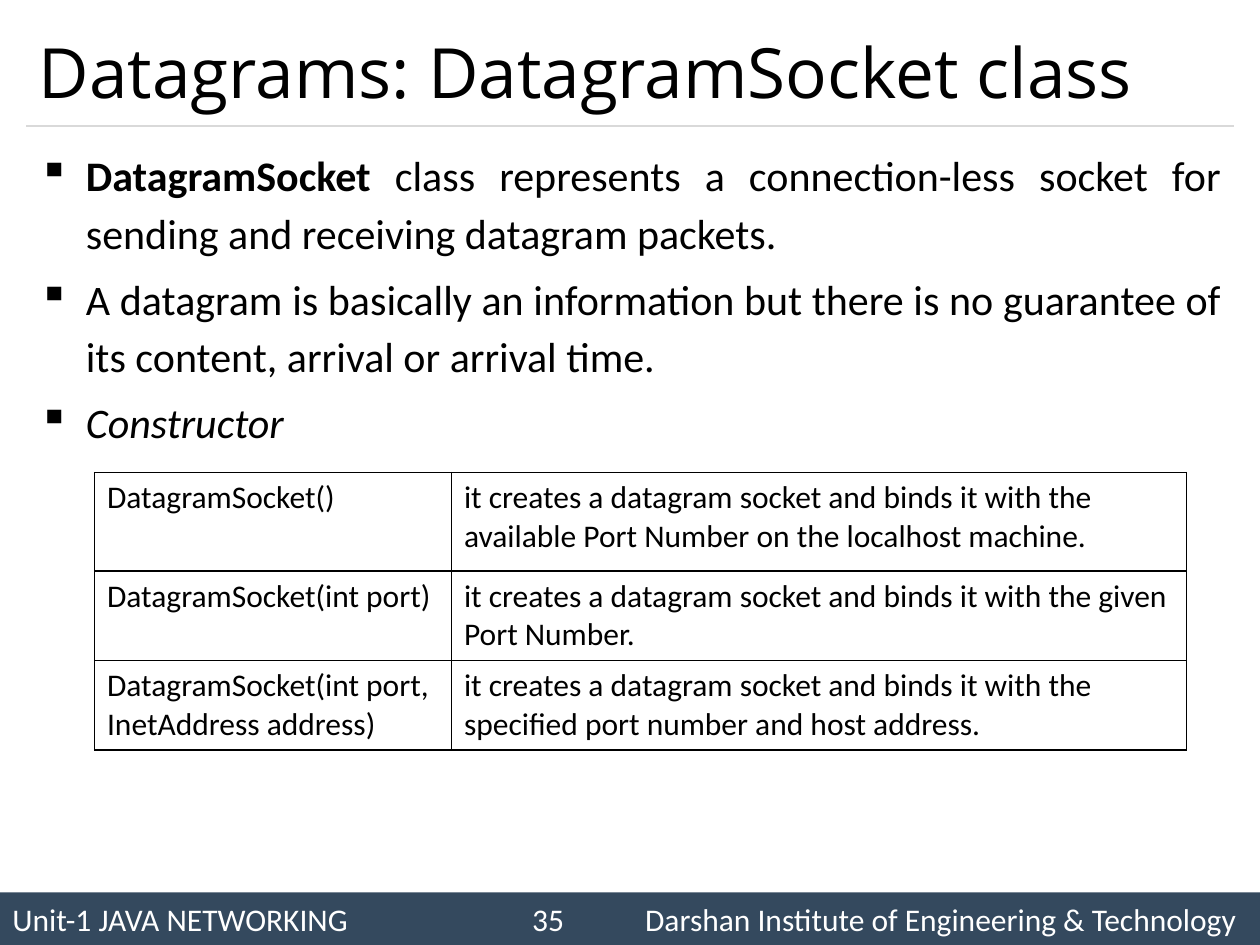
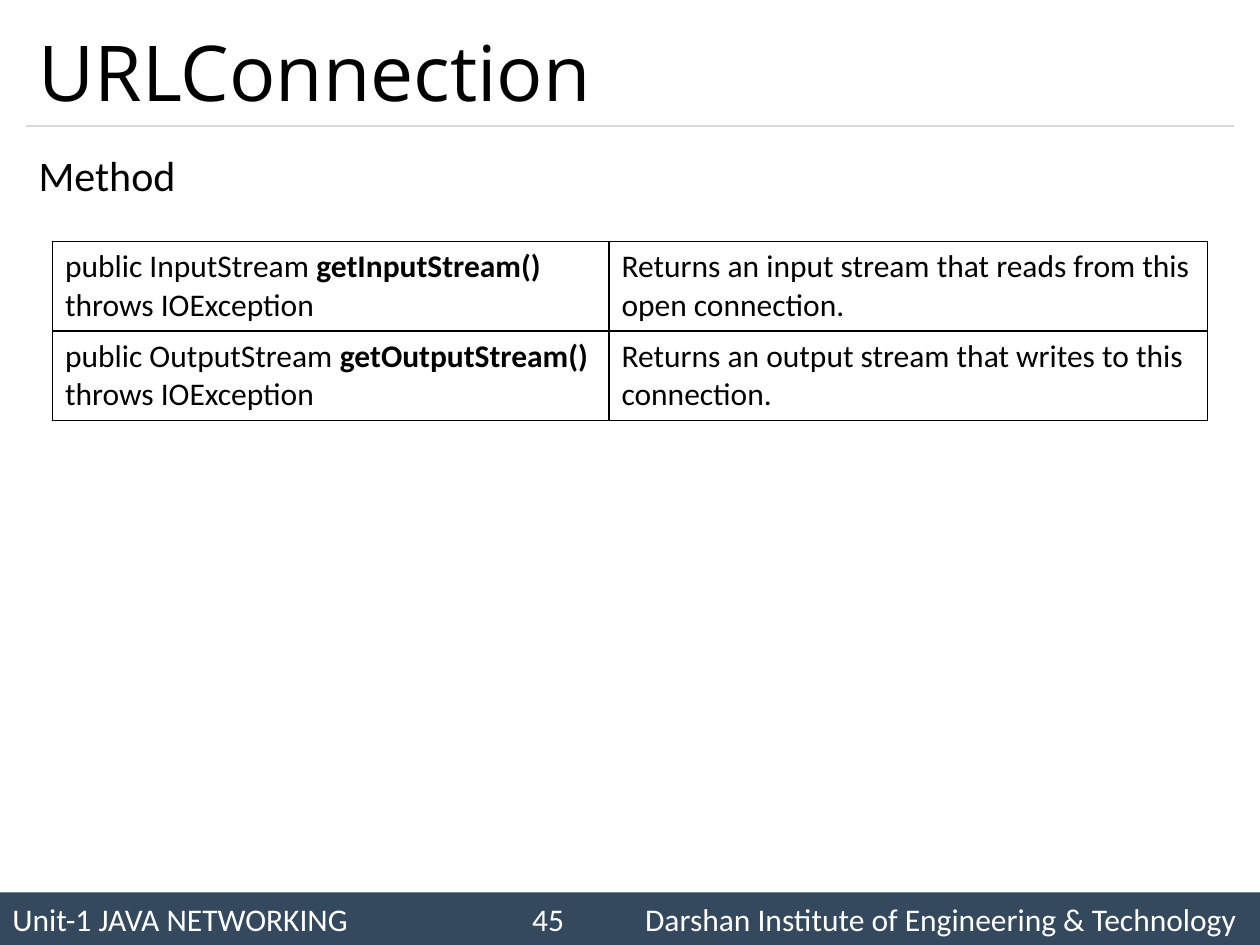
from lxml.etree import SubElement
from pptx import Presentation
from pptx.dml.color import RGBColor
from pptx.enum.shapes import MSO_CONNECTOR, MSO_SHAPE
from pptx.enum.text import MSO_ANCHOR, MSO_AUTO_SIZE, PP_ALIGN
from pptx.oxml.ns import qn
from pptx.util import Pt

BLACK = RGBColor(0x00, 0x00, 0x00)
WHITE = RGBColor(0xFF, 0xFF, 0xFF)
NAVY = RGBColor(0x34, 0x49, 0x5E)
RULE_GREY = RGBColor(0xD9, 0xD9, 0xD9)

PLAIN, BOLD, ITALIC = {}, {"bold": True}, {"italic": True}
MARGIN, CONTENT_WIDTH = 15, 690
BAND_TOP, BAND_HEIGHT = 510, 30
HANGING = 27

# Content: each text is a list of (wording, format) runs
pages = [
    {
        "title": "Datagrams: DatagramSocket class",
        "title_size": 39.6,
        "number": "35",
        "bulleted": True,
        "points": [
            [("DatagramSocket", BOLD),
             (" class represents a connection-less socket for sending and receiving datagram packets.", PLAIN)],
            [("A datagram is basically an information but there is no guarantee of its content, "
              "arrival or arrival time.", PLAIN)],
            [("Constructor", ITALIC)],
        ],
        "table_corner": (54, 270),
        "columns": (204, 420),
        "rows": (56.2, 51.2, 51.2),
        "cells": [
            [[("DatagramSocket()", PLAIN)],
             [("it creates a datagram socket and binds it with the available Port Number "
               "on the localhost machine.", PLAIN)]],
            [[("DatagramSocket(int port)", PLAIN)],
             [("it creates a datagram socket and binds it with the given Port Number.", PLAIN)]],
            [[("DatagramSocket(int port, InetAddress address)", PLAIN)],
             [("it creates a datagram socket and binds it with the specified port number "
               "and host address.", PLAIN)]],
        ],
    },
    {
        "title": "URLConnection",
        "title_size": 44,
        "number": "45",
        "bulleted": False,
        "points": [[("Method", PLAIN)]],
        "table_corner": (30, 138),
        "columns": (318, 342),
        "rows": (51.2, 51.2),
        "cells": [
            [[("public InputStream ", PLAIN), ("getInputStream() ", BOLD), ("throws IOException", PLAIN)],
             [("Returns an input stream that reads from this open connection.", PLAIN)]],
            [[("public OutputStream ", PLAIN), ("getOutputStream()", BOLD), (" throws IOException", PLAIN)],
             [("Returns an output stream that writes to this connection.", PLAIN)]],
        ],
    },
]


def write_runs(paragraph, runs, size, color=BLACK, face="Calibri"):
    for wording, style in runs:
        run = paragraph.add_run()
        run.text = wording
        run.font.color.rgb = color
        for name, value in {"name": face, "size": Pt(size), **style}.items():
            setattr(run.font, name, value)


def outline_cell(cell):
    properties = cell._tc.get_or_add_tcPr()
    for side in ("lnL", "lnR", "lnT", "lnB"):
        border = SubElement(properties, qn(f"a:{side}"), w=str(Pt(1)))
        SubElement(SubElement(border, qn("a:solidFill")), qn("a:srgbClr"), val=str(BLACK))
    cell.fill.background()


presentation = Presentation()
presentation.slide_width, presentation.slide_height = Pt(720), Pt(540)

for page in pages:
    slide = presentation.slides.add_slide(presentation.slide_layouts[5])

    # Footer band, with the institute at a right-aligned tab
    band = slide.shapes.add_shape(MSO_SHAPE.RECTANGLE, 0, Pt(BAND_TOP), Pt(720), Pt(BAND_HEIGHT))
    band.shadow.inherit = False
    band.fill.solid()
    band.fill.fore_color.rgb = NAVY
    band.line.fill.background()
    band.text_frame.vertical_anchor = MSO_ANCHOR.MIDDLE
    footer = band.text_frame.paragraphs[0]
    footer.alignment = PP_ALIGN.LEFT
    tabs = SubElement(footer._p.get_or_add_pPr(), qn("a:tabLst"))
    SubElement(tabs, qn("a:tab"), pos=str(Pt(699.5)), algn="r")
    write_runs(footer, [("Unit-1 JAVA NETWORKING\tDarshan Institute of Engineering & Technology", PLAIN)],
               18, WHITE)

    # Page number
    number = slide.shapes.add_textbox(Pt(297), Pt(511), Pt(36), Pt(29)).text_frame
    number.word_wrap = True
    write_runs(number.paragraphs[0], [(page["number"], PLAIN)], 18, WHITE)

    # Title and the rule below it
    title = slide.shapes.title
    title.left, title.top, title.width, title.height = Pt(MARGIN), Pt(9), Pt(CONTENT_WIDTH), Pt(63)
    title.text_frame.auto_size = MSO_AUTO_SIZE.NONE
    title.text_frame.vertical_anchor = MSO_ANCHOR.MIDDLE
    heading = title.text_frame.paragraphs[0]
    heading.alignment = PP_ALIGN.LEFT
    write_runs(heading, [(page["title"], PLAIN)], page["title_size"], face="Open Sans")

    rule = slide.shapes.add_connector(MSO_CONNECTOR.STRAIGHT, Pt(MARGIN), Pt(72),
                                      Pt(MARGIN + CONTENT_WIDTH), Pt(72))
    rule.line.color.rgb = RULE_GREY
    rule.line.width = Pt(0.75)
    SubElement(rule._element.spPr, qn("a:effectLst"))

    # Points
    body = slide.shapes.add_textbox(Pt(MARGIN), Pt(78), Pt(CONTENT_WIDTH), Pt(420)).text_frame
    body.word_wrap = True
    for index, runs in enumerate(page["points"]):
        point = body.add_paragraph() if index else body.paragraphs[0]
        properties = point._p.get_or_add_pPr()
        properties.set("marL", str(Pt(HANGING)))
        properties.set("indent", str(-Pt(HANGING)))
        if page["bulleted"]:
            SubElement(properties, qn("a:buChar"), char="▪")
            point.alignment = PP_ALIGN.JUSTIFY
        point.line_spacing = 1.14
        if index:
            point.space_before = Pt(4.8)
        write_runs(point, runs, 24)

    # Table of signatures and what they do
    left, top = page["table_corner"]
    signatures = slide.shapes.add_table(
        len(page["rows"]), len(page["columns"]), Pt(left), Pt(top),
        Pt(sum(page["columns"])), Pt(sum(page["rows"]))).table
    signatures.first_row = signatures.horz_banding = False
    for column, width in zip(signatures.columns, page["columns"]):
        column.width = Pt(width)
    for row, height, entries in zip(signatures.rows, page["rows"], page["cells"]):
        row.height = Pt(height)
        for cell, runs in zip(row.cells, entries):
            outline_cell(cell)
            write_runs(cell.text_frame.paragraphs[0], runs, 18)

presentation.save("out.pptx")
